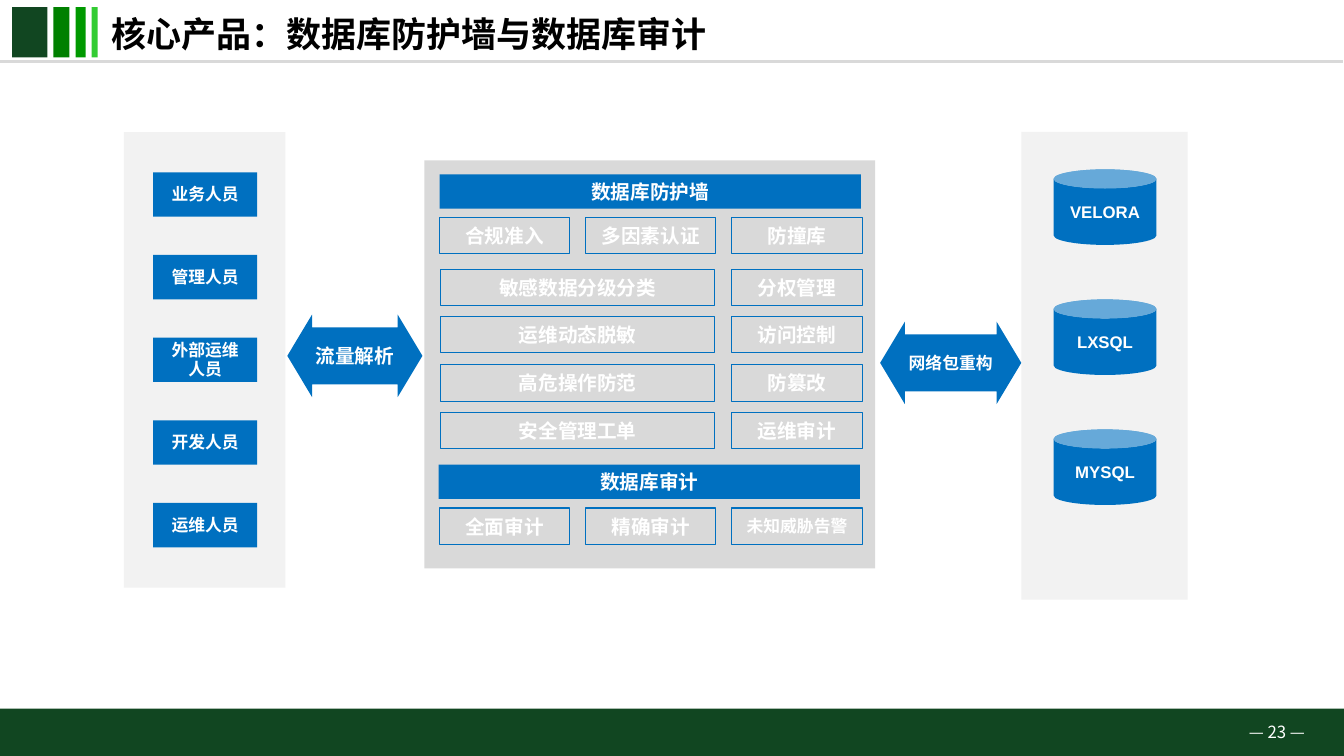
import pptx
import pptx.util
import pptx.dml.color
import pptx.enum.shapes
import pptx.enum.text
import pptx.oxml.ns
import lxml.etree

Inches = pptx.util.Inches
RGBColor = pptx.dml.color.RGBColor
SHAPE = pptx.enum.shapes.MSO_SHAPE
CENTER = pptx.enum.text.PP_ALIGN.CENTER
LEFT = pptx.enum.text.PP_ALIGN.LEFT
CJK_FONT = "Noto Sans CJK SC"
BLACK = RGBColor(0x00, 0x00, 0x00)
WHITE = RGBColor(0xFF, 0xFF, 0xFF)
DARK_GREEN = RGBColor(0x11, 0x46, 0x21)
GREEN = RGBColor(0x00, 0x80, 0x00)
MID_GREEN = RGBColor(0x00, 0x99, 0x00)
LIGHT_GREEN = RGBColor(0x33, 0xCC, 0x33)
BLUE = RGBColor(0x00, 0x70, 0xC0)
LIGHT_BLUE = RGBColor(0x66, 0xA9, 0xD9)
PALE_GRAY = RGBColor(0xF2, 0xF2, 0xF2)
GRAY = RGBColor(0xD9, 0xD9, 0xD9)


def add_block(kind, left, top, width, height, fill, line=None):
    shape = slide.shapes.add_shape(kind, Inches(left), Inches(top), Inches(width), Inches(height))
    shape.shadow.inherit = False
    shape.fill.solid()
    shape.fill.fore_color.rgb = fill
    if line is None:
        shape.line.fill.background()
    else:
        shape.line.color.rgb = line
        shape.line.width = pptx.util.Pt(0.75)
    return shape


def add_label(shape, text, size, font=CJK_FONT, color=WHITE, bold=True, align=CENTER, margin=0):
    frame = shape.text_frame
    frame.word_wrap = True
    frame.margin_left = frame.margin_right = Inches(margin)
    frame.margin_top = frame.margin_bottom = 0
    frame.vertical_anchor = pptx.enum.text.MSO_ANCHOR.MIDDLE
    paragraph = frame.paragraphs[0]
    paragraph.alignment = align
    run = paragraph.add_run()
    run.text = text
    run.font.size = pptx.util.Pt(size)
    run.font.bold = bold
    run.font.color.rgb = color
    run.font.name = font
    east_asian = lxml.etree.SubElement(run.font._element, pptx.oxml.ns.qn("a:ea"))
    east_asian.set("typeface", font)
    return paragraph


presentation = pptx.Presentation()
presentation.slide_width = Inches(13.33)
presentation.slide_height = Inches(7.5)
slide = presentation.slides.add_slide(presentation.slide_layouts[5])

title = slide.shapes.title
title.left, title.top, title.width, title.height = Inches(1.11), Inches(0.1), Inches(8), Inches(0.46)
add_label(title, "核心产品：数据库防护墙与数据库审计", 25, color=BLACK, align=LEFT)

for left, width, color in [(0.12, 0.35, DARK_GREEN), (0.53, 0.16, GREEN),
                           (0.75, 0.1, MID_GREEN), (0.91, 0.06, LIGHT_GREEN)]:
    add_block(SHAPE.RECTANGLE, left, 0.07, width, 0.5, color)

rule = slide.shapes.add_connector(pptx.enum.shapes.MSO_CONNECTOR.STRAIGHT,
                                  0, Inches(0.61), Inches(13.32), Inches(0.61))
rule.line.color.rgb = GRAY
rule.line.width = pptx.util.Pt(1.5)
lxml.etree.SubElement(rule._element.spPr, pptx.oxml.ns.qn("a:effectLst"))

add_block(SHAPE.RECTANGLE, 0, 7.03, 13.33, 0.47, DARK_GREEN)
page_number = slide.shapes.add_textbox(Inches(12.3), Inches(7.13), Inches(0.73), Inches(0.25))
add_label(page_number, "— 23 —", 12, bold=False)

add_block(SHAPE.RECTANGLE, 1.23, 1.31, 1.6, 4.52, PALE_GRAY)
add_block(SHAPE.RECTANGLE, 4.21, 1.59, 4.47, 4.05, GRAY)
add_block(SHAPE.RECTANGLE, 10.13, 1.31, 1.65, 4.64, PALE_GRAY)

for index, role in enumerate(["业务人员", "管理人员", "外部运维 人员", "开发人员", "运维人员"]):
    box = add_block(SHAPE.RECTANGLE, 1.52, 1.71 + 0.82 * index, 1.03, 0.44, BLUE)
    paragraph = add_label(box, role, 12, margin=0.14)
    paragraph.line_spacing = pptx.util.Pt(13.9)

for left, top, width, text, size in [(2.85, 3.12, 1.34, "流量解析", 14),
                                     (8.73, 3.19, 1.4, "网络包重构", 12)]:
    arrow = add_block(SHAPE.LEFT_RIGHT_ARROW, left, top, width, 0.82, BLUE)
    arrow.adjustments[0] = 0.69
    arrow.adjustments[1] = 0.3
    add_label(arrow, text, size)

for left, top, text in [(4.36, 1.73, "数据库防护墙"), (4.35, 4.61, "数据库审计")]:
    add_label(add_block(SHAPE.RECTANGLE, left, top, 4.18, 0.34, BLUE), text, 14)

for top, features in [(2.16, ["合规准入", "多因素认证", "防撞库"]),
                      (5.04, ["全面审计", "精确审计", "未知威胁告警"])]:
    for column, feature in enumerate(features):
        box = add_block(SHAPE.RECTANGLE, 4.36 + 1.45 * column, top, 1.29, 0.36, GRAY, BLUE)
        add_label(box, feature, 12 if len(feature) > 5 else 14)

for top, wide_feature, narrow_feature in [(2.67, "敏感数据分级分类", "分权管理"),
                                          (3.14, "运维动态脱敏", "访问控制"),
                                          (3.62, "高危操作防范", "防篡改"),
                                          (4.09, "安全管理工单", "运维审计")]:
    for left, width, feature in [(4.37, 2.72, wide_feature), (7.26, 1.29, narrow_feature)]:
        add_label(add_block(SHAPE.RECTANGLE, left, top, width, 0.36, GRAY, BLUE), feature, 14)

for index, database in enumerate(["VELORA", "LXSQL", "MYSQL"]):
    top = 1.68 + 1.29 * index
    cylinder = add_block(SHAPE.CAN, 10.45, top, 1.02, 0.75, BLUE)
    add_label(cylinder, database, 12, font="Arial")
    add_block(SHAPE.OVAL, 10.45, top, 1.02, 0.19, LIGHT_BLUE)

presentation.save("out.pptx")
